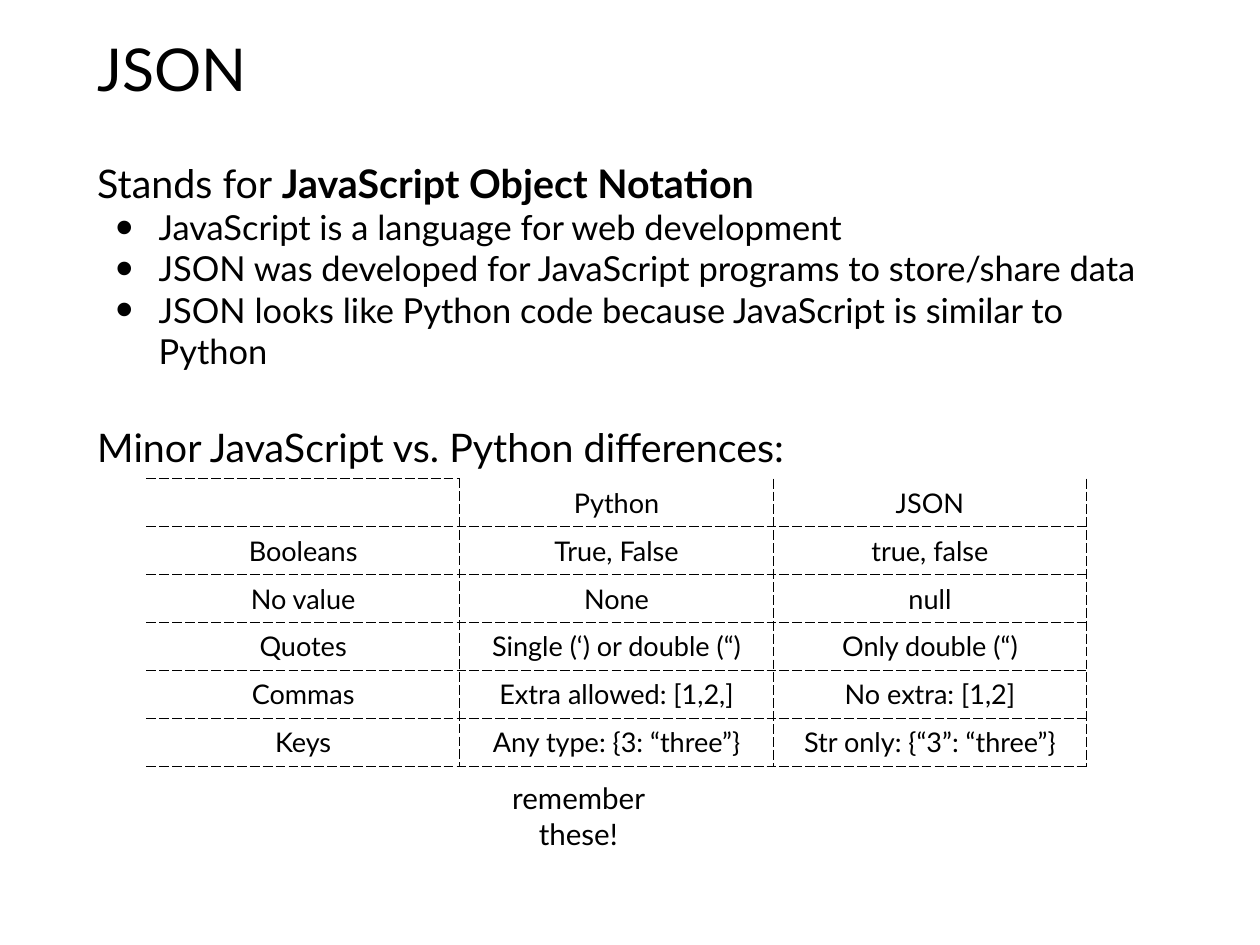
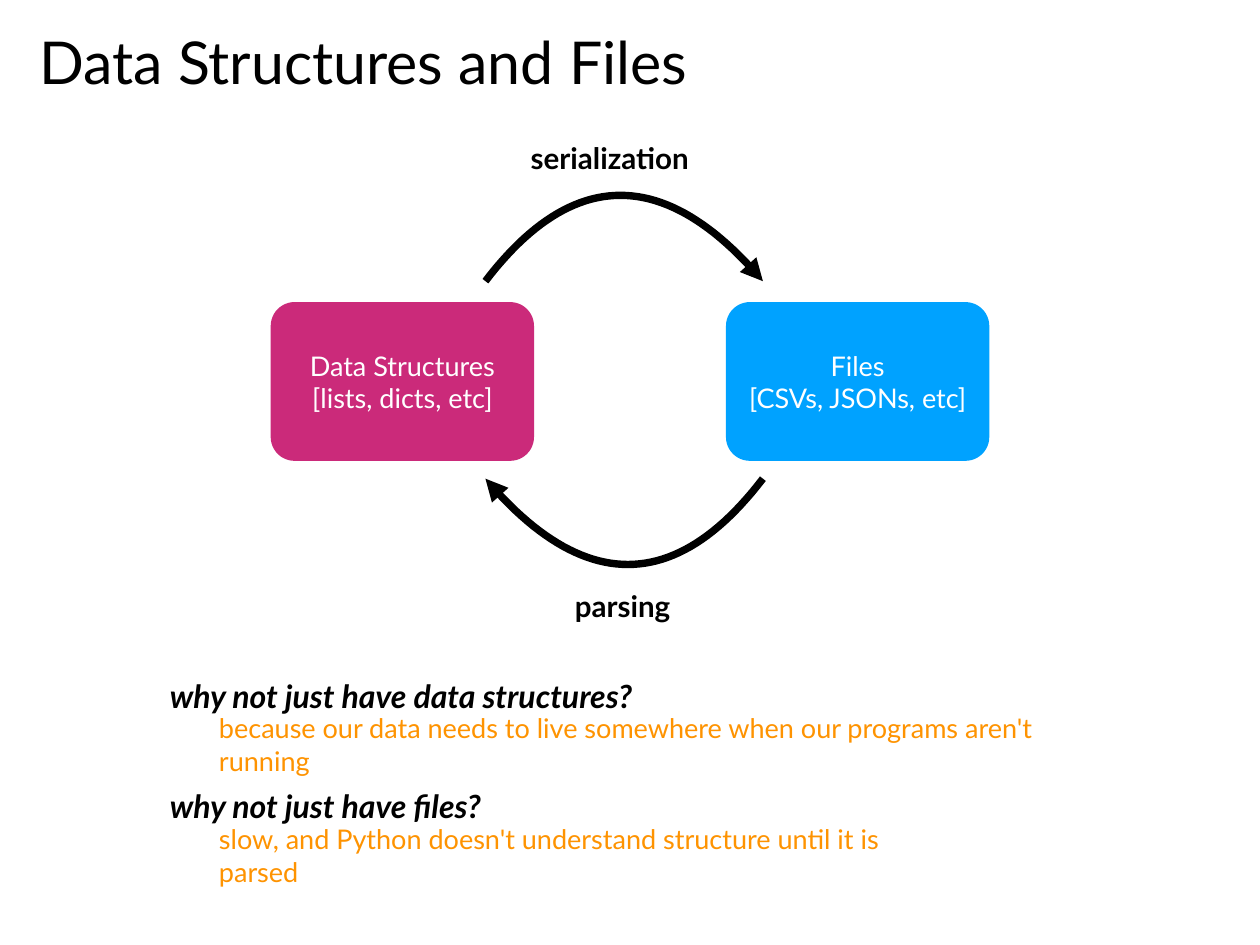
from lxml.etree import SubElement
from pptx import Presentation
from pptx.dml.color import RGBColor
from pptx.enum.shapes import MSO_SHAPE as SHAPE
from pptx.enum.text import MSO_ANCHOR as ANCHOR, MSO_AUTO_SIZE as FIT, PP_ALIGN as ALIGN
from pptx.oxml import parse_xml
from pptx.oxml.ns import nsdecls, qn
from pptx.util import Pt

FONT = "Lato"
BLACK, WHITE = "000000", "FFFFFF"
PINK, BLUE, ORANGE = "CB2A7A", "00A2FF", "FE9301"
PLAIN_TABLE = "{2D5ABB26-0587-4C30-8999-92F81FD0307C}"
MARGIN = 4


def color(hex_value):
    return RGBColor.from_string(hex_value)


def add_run(p, text, size=22, fill=BLACK, bold=False, italic=False):
    r = p.add_run()
    r.text = text
    font = r.font
    font.name, font.size = FONT, Pt(size)
    font.bold, font.italic = bold, italic
    font.color.rgb = color(fill)


def frame(tf, anchor=ANCHOR.MIDDLE):
    tf.word_wrap = True
    tf.auto_size = FIT.NONE
    tf.vertical_anchor = anchor
    tf.margin_left = tf.margin_right = tf.margin_top = tf.margin_bottom = Pt(MARGIN)


def write(tf, text, align=ALIGN.LEFT, **fmt):
    for i, line in enumerate(text.split("\n")):
        p = tf.add_paragraph() if i else tf.paragraphs[0]
        p.alignment = align
        add_run(p, line, **fmt)


def bezier(start, c1, c2, end, steps=48):
    def at(t):
        weights = (1 - t) ** 3, 3 * t * (1 - t) ** 2, 3 * t * t * (1 - t), t ** 3
        return tuple(
            Pt(sum(w * q[axis] for w, q in zip(weights, (start, c1, c2, end))))
            for axis in (0, 1)
        )

    return [at(i / steps) for i in range(steps + 1)]


class Deck:
    def __init__(self, width, height):
        self.prs = Presentation()
        self.prs.slide_width, self.prs.slide_height = Pt(width), Pt(height)
        self.s = None

    def slide(self, layout, title, *box):
        self.s = self.prs.slides.add_slide(self.prs.slide_layouts[layout])
        sp = self.s.shapes.title
        self.place(sp, *box)
        frame(sp.text_frame)
        write(sp.text_frame, title, size=48)

    def place(self, sp, x, y, w, h):
        sp.left, sp.top, sp.width, sp.height = Pt(x), Pt(y), Pt(w), Pt(h)

    def body(self, items, *box):
        sp = self.s.placeholders[1]
        self.place(sp, *box)
        tf = sp.text_frame
        frame(tf, ANCHOR.TOP)
        for i, (bullet, before, runs) in enumerate(items):
            p = tf.add_paragraph() if i else tf.paragraphs[0]
            p.space_before = Pt(before)
            pPr = p._p.get_or_add_pPr()
            pPr.set("marL", str(Pt(50 if bullet else 0)))
            pPr.set("indent", str(Pt(-35 if bullet else 0)))
            if bullet:
                SubElement(pPr, qn("a:buSzPct")).set("val", "145000")
                SubElement(pPr, qn("a:buChar")).set("char", "•")
            else:
                SubElement(pPr, qn("a:buNone"))
            for text, bold in runs:
                add_run(p, text, size=28 if bullet else 32, bold=bold)

    def text(self, text, x, y, w, h, **fmt):
        sp = self.s.shapes.add_textbox(Pt(x), Pt(y), Pt(w), Pt(h))
        frame(sp.text_frame)
        write(sp.text_frame, text, **fmt)

    def card(self, text, fill, x, y, w, h):
        sp = self.s.shapes.add_shape(SHAPE.ROUNDED_RECTANGLE, Pt(x), Pt(y), Pt(w), Pt(h))
        sp.adjustments[0] = 0.15
        sp.shadow.inherit = False
        sp.fill.solid()
        sp.fill.fore_color.rgb = color(fill)
        sp.line.fill.background()
        frame(sp.text_frame)
        write(sp.text_frame, text, ALIGN.CENTER, fill=WHITE)

    def arc(self, *controls):
        start, *rest = bezier(*controls)
        builder = self.s.shapes.build_freeform(*start)
        builder.add_line_segments(rest, close=False)
        sp = builder.convert_to_shape()
        sp.shadow.inherit = False
        sp.fill.background()
        sp.line.color.rgb = color(BLACK)
        sp.line.width = Pt(6)
        SubElement(sp.line._get_or_add_ln(), qn("a:tailEnd")).set("type", "triangle")

    def border(self, cell, side):
        cell._tc.get_or_add_tcPr().append(parse_xml(
            f'<a:{side} {nsdecls("a")} w="{Pt(1)}"><a:solidFill><a:srgbClr val="{BLACK}"/>'
            f'</a:solidFill><a:prstDash val="lgDash"/></a:{side}>'))

    def table(self, rows, x, y, col_w, row_h):
        cols = len(rows[0])
        table = self.s.shapes.add_table(
            len(rows), cols, Pt(x), Pt(y), Pt(col_w * cols), Pt(row_h * len(rows))).table
        table.first_row = table.horz_banding = False
        table._tbl.tblPr.find(qn("a:tableStyleId")).text = PLAIN_TABLE
        for i, row in enumerate(rows):
            for j, text in enumerate(row):
                cell = table.cell(i, j)
                for side in ("lnR", "lnT", "lnB") if i == j == 0 else ("lnR", "lnB"):
                    self.border(cell, side)
                cell.fill.background()
                cell.vertical_anchor = ANCHOR.MIDDLE
                cell.margin_left = cell.margin_right = Pt(MARGIN)
                cell.margin_top = cell.margin_bottom = Pt(MARGIN)
                if text:
                    write(cell.text_frame, text, ALIGN.CENTER)


deck = Deck(1024, 768)

deck.slide(1, "JSON", 75, 20, 874, 71)
deck.body([
    (False, 0, [("Stands for ", False), ("JavaScript Object Notation", True)]),
    (True, 0, [("JavaScript is a language for web development", False)]),
    (True, 0, [("JSON was developed for JavaScript programs to store/share data", False)]),
    (True, 0, [("JSON looks like Python code because JavaScript is similar to Python", False)]),
    (False, 42, [("Minor JavaScript vs. Python differences:", False)]),
], 75, 125, 874, 608)
deck.table([
    ("", "Python", "JSON"),
    ("Booleans", "True, False", "true, false"),
    ("No value", "None", "null"),
    ("Quotes", "Single (‘) or double (“)", "Only double (“)"),
    ("Commas", "Extra allowed: [1,2,]", "No extra: [1,2]"),
    ("Keys", "Any type: {3: “three”}", "Str only: {“3”: “three”}"),
], 119, 389, 254.7, 39)
deck.text("remember these!", 405, 645, 130, 36, align=ALIGN.CENTER, size=24)

deck.slide(5, "Data Structures and Files", 28, 14, 637, 71)
for text, fill, x in (("Data Structures\n[lists, dicts, etc]", PINK, 220),
                      ("Files\n[CSVs, JSONs, etc]", BLUE, 590)):
    deck.card(text, fill, x, 245.5, 214, 129)

upper = [(394.5, 228.5), (465.5, 135.5), (541, 135.5), (620, 228.5)]
lower = [(1014.5 - x, 617.5 - y) for x, y in upper]
for controls in (upper, lower):
    deck.arc(*controls)
for text, x, y, w in (("parsing", 461, 474, 90), ("serialization", 427, 110, 137)):
    deck.text(text, x, y, w, 36, align=ALIGN.CENTER, size=24, bold=True)

answers = (
    ("why not just have data structures?", 434,
     "because our data needs to live somewhere when our programs aren't running", 703),
    ("why not just have files?", 297,
     "slow, and Python doesn't understand structure until it is parsed", 571),
)
for i, (question, question_w, answer, answer_w) in enumerate(answers):
    y = 546 + 90 * i
    deck.text(question, 134, y, question_w, 38, size=26, bold=True, italic=True)
    deck.text(answer, 174, y + 42.5, answer_w, 33, fill=ORANGE)

deck.prs.save("out.pptx")
